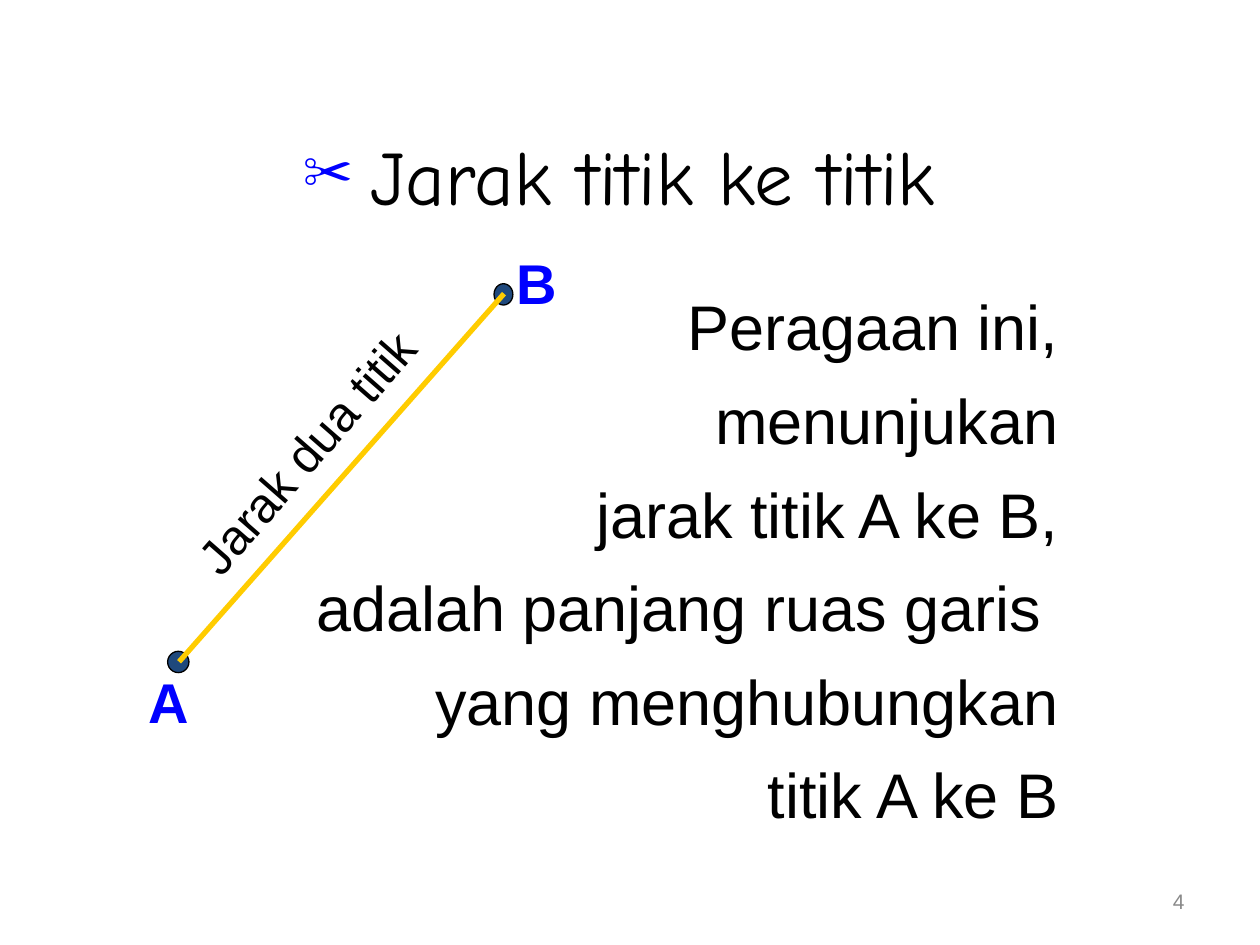
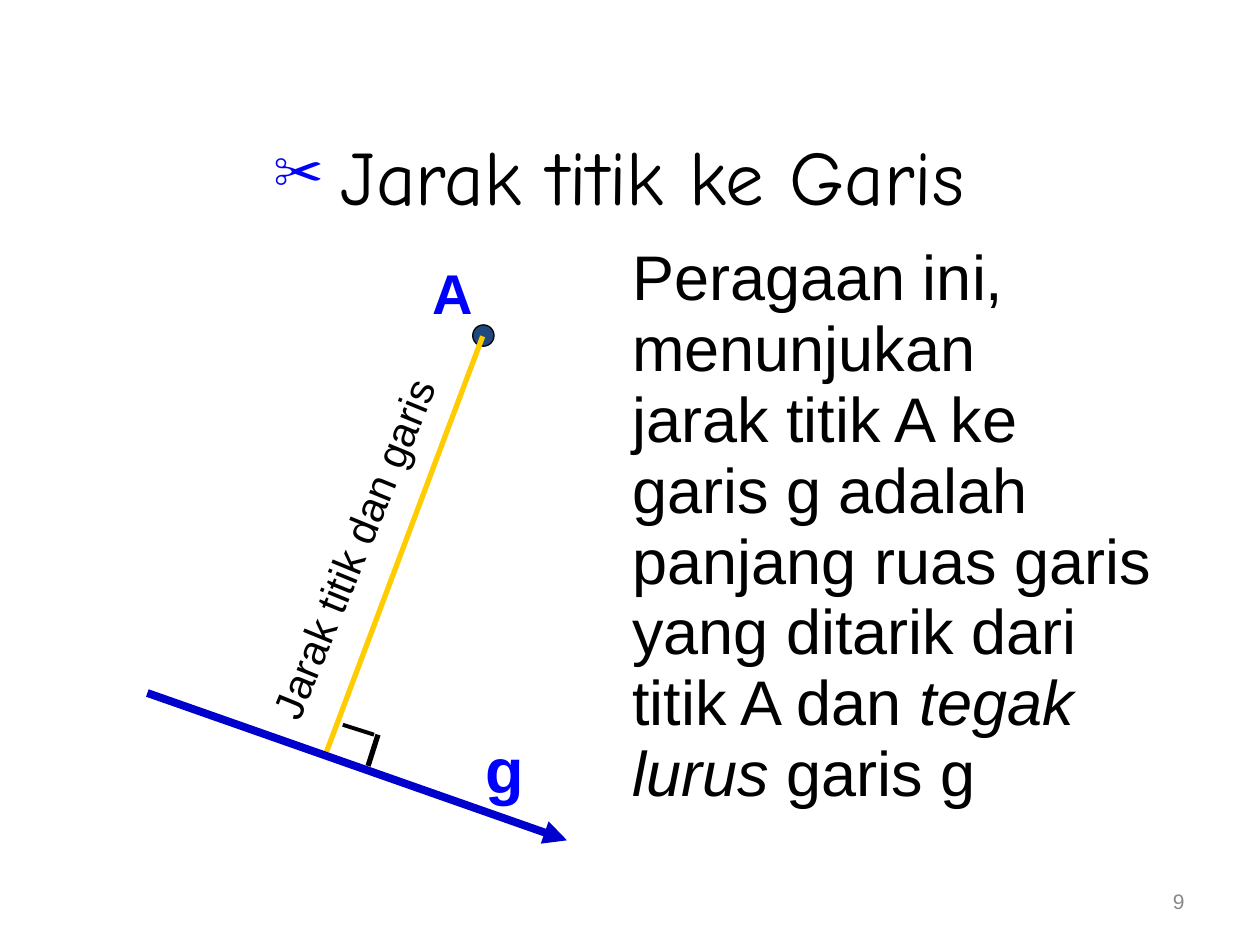
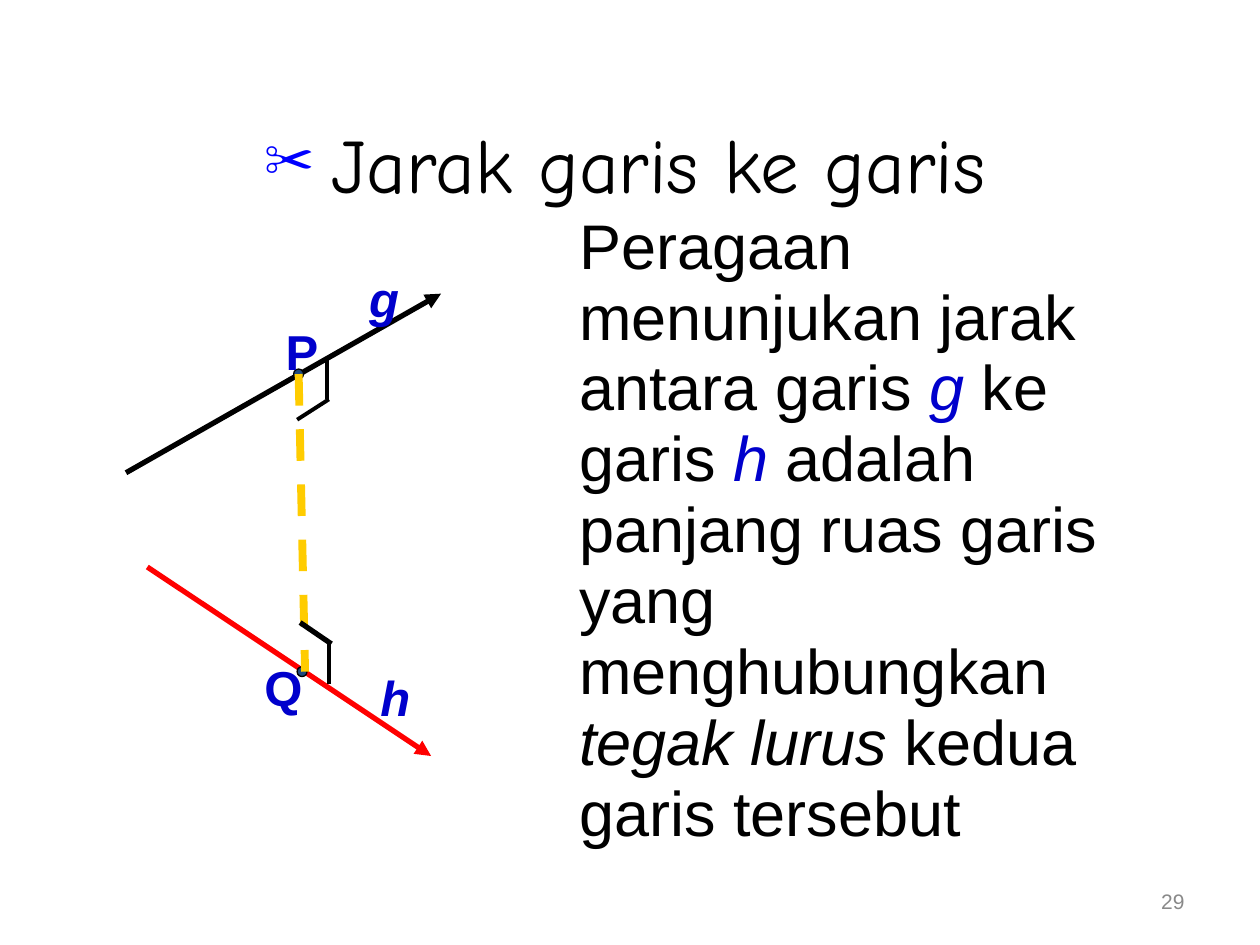
from lxml import etree
from pptx import Presentation
from pptx import util as u
from pptx.dml.color import RGBColor
from pptx.enum import dml, shapes, text
from pptx.oxml.ns import qn

COLORS = {
    "ink": "000000", "label": "0000FF", "navy": "0000CC", "distance": "FFCC00",
    "red": "FF0000", "point": "1F497D", "page": "898989",
}
LEFT, CENTER, RIGHT = text.PP_ALIGN.LEFT, text.PP_ALIGN.CENTER, text.PP_ALIGN.RIGHT


def write(slide, paragraphs, at, size=36, color="ink", font="Arial", bold=False,
          italic=False, align=LEFT, anchor=text.MSO_ANCHOR.TOP, spacing=1.0,
          before=0, rotation=0, bullet=None):
    """Each paragraph is a list of runs: (words, format that differs)."""
    box = slide.shapes.add_textbox(*map(u.Cm, at))
    box.rotation = rotation
    frame = box.text_frame
    frame.word_wrap = True
    frame.vertical_anchor = anchor
    for number, runs in enumerate(paragraphs):
        paragraph = frame.add_paragraph() if number else frame.paragraphs[0]
        if bullet:
            props = paragraph._p.get_or_add_pPr()
            props.set("marL", "0")
            props.set("indent", "0")
            tint = etree.SubElement(props, qn("a:buClr"))
            etree.SubElement(tint, qn("a:srgbClr"), val=COLORS["label"])
            etree.SubElement(props, qn("a:buSzPct"), val="80000")
            etree.SubElement(props, qn("a:buFont"), typeface="Arial")
            etree.SubElement(props, qn("a:buChar"), char=bullet)
        paragraph.alignment = align
        paragraph.line_spacing = spacing
        if number:
            paragraph.space_before = u.Pt(before)
        for words, style in runs:
            run = paragraph.add_run()
            run.text = words
            run.font.name = style.get("font", font)
            run.font.size = u.Pt(style.get("size", size))
            run.font.bold = bold
            run.font.italic = style.get("italic", italic)
            run.font.color.rgb = RGBColor.from_string(COLORS[style.get("color", color)])


def draw_line(slide, x1, y1, x2, y2, color, width, arrow=False, dashed=False):
    line = slide.shapes.add_connector(
        shapes.MSO_CONNECTOR.STRAIGHT, *map(u.Cm, (x1, y1, x2, y2)))
    line.line.color.rgb = RGBColor.from_string(COLORS[color])
    line.line.width = u.Pt(width)
    if dashed:
        line.line.dash_style = dml.MSO_LINE.DASH
    props = line._element.spPr
    if arrow:
        etree.SubElement(props.find(qn("a:ln")), qn("a:tailEnd"), type="triangle")
    etree.SubElement(props, qn("a:effectLst"))


# Run formats and label styles
plain, slanted = {}, {"italic": True}
line_name = {"italic": True, "color": "navy"}
big = {"size": 32, "color": "label", "bold": True}
small = {"size": 28, "color": "navy", "bold": True}
small_slanted = {**small, "italic": True}

# Content: lines are (x1, y1, x2, y2, colour, width, options), all lengths in cm
topics = [
    {
        "title": "Jarak titik ke titik", "title_at": (3.38, 2.97, 18.21, 1.57), "page": "4",
        "body": [[(words, plain)] for words in (
            "Peragaan ini,", "menunjukan", "jarak titik A ke B,",
            "adalah panjang ruas garis ", "yang menghubungkan", "titik A ke B")],
        "body_at": (3.38, 5.68, 18.21, 10.6),
        "body_style": {"align": RIGHT},
        "base_lines": [],
        "points": [(3.38, 13.13, 0.43, 0.43), (9.96, 5.72, 0.38, 0.43)],
        "labels": [
            ("A", (2.74, 13.34, 1.27, 1.63), big),
            ("B", (10.16, 4.88, 1.27, 1.63), big),
            ("Jarak dua titik", (2.77, 8.15, 7.21, 1.45), {"size": 28, "rotation": 311.2}),
        ],
        "top_lines": [(3.61, 13.34, 10.16, 5.92, "distance", 3, {})],
    },
    {
        "title": "Jarak titik ke Garis", "title_at": (3.38, 2.97, 18.21, 1.57), "page": "9",
        "body": [[(words, plain)] for words in (
            "Peragaan ini,", "menunjukan", "jarak titik A ke", "garis g adalah",
            "panjang ruas garis", "yang ditarik dari")] + [
            [("titik A dan ", plain), ("tegak", slanted)],
            [("lurus", slanted), (" garis g", plain)]],
        "body_at": (12.5, 5.08, 11, 11.02),
        "body_style": {"spacing": 0.7},
        "base_lines": [],
        "points": [(9.53, 6.55, 0.43, 0.43)],
        "labels": [
            ("A", (8.46, 5.08, 1.27, 1.63), big),
            ("g", (9.53, 14.61, 1.27, 1.78), {**big, "size": 36}),
            ("Jarak titik dan garis", (3.2, 10.41, 7.82, 1.27), {"size": 24, "rotation": 292.3}),
        ],
        "top_lines": [
            (6.55, 15.24, 9.73, 6.78, "distance", 3, {}),
            (2.97, 13.97, 11.43, 16.94, "navy", 4.5, {"arrow": True}),
            (6.91, 14.61, 7.54, 14.81, "ink", 2.25, {}),
            (7.62, 14.81, 7.42, 15.44, "ink", 3, {}),
        ],
    },
    {
        "title": "Jarak garis ke garis", "title_at": (3.61, 2.74, 17.98, 1.57), "page": "29",
        "body": [
            [("Peragaan", plain)],
            [("menunjukan jarak", plain)],
            [("antara garis ", plain), ("g", line_name), (" ke", plain)],
            [("garis ", plain), ("h", line_name), (" adalah", plain)],
            [("panjang ruas garis", plain)],
            [("yang", plain)],
            [("menghubungkan", plain)],
            [("tegak lurus", slanted), (" kedua", plain)],
            [("garis tersebut", plain)],
        ],
        "body_at": (11.43, 4.45, 11, 12.42),
        "body_style": {"spacing": 0.7},
        "base_lines": [
            (2.54, 9.53, 8.89, 5.92, "ink", 3, {"arrow": True}),
            (2.97, 11.43, 8.69, 15.24, "red", 3, {"arrow": True}),
        ],
        "points": [(5.92, 7.44, 0.2, 0.2), (5.99, 13.44, 0.2, 0.2)],
        "labels": [
            ("P", (5.51, 6.35, 1.19, 1.45), small),
            ("Q", (5.08, 13.13, 1.19, 1.45), small),
            ("g", (7.19, 5.28, 1.19, 1.45), small_slanted),
            ("h", (7.42, 13.34, 1.19, 1.45), small_slanted),
        ],
        "top_lines": [
            (6.02, 7.54, 6.15, 13.54, "distance", 4.5, {"dashed": True}),
            (6.05, 12.55, 6.68, 12.98, "ink", 3, {}),
            (6.63, 12.95, 6.63, 13.79, "ink", 2.25, {}),
            (6.6, 7.19, 6.6, 8.05, "ink", 2.25, {}),
            (5.99, 8.46, 6.63, 8.05, "ink", 2.25, {}),
        ],
    },
]

deck = Presentation()
deck.slide_width, deck.slide_height = u.Cm(25.4), u.Cm(19.05)

for topic in topics:
    slide = deck.slides.add_slide(deck.slide_layouts[6])

    # Page number, title and explanation
    write(slide, [[(topic["page"], plain)]], (18.21, 17.65, 5.92, 1.02), size=12,
          color="page", align=RIGHT, anchor=text.MSO_ANCHOR.MIDDLE)
    write(slide, [[(" ", plain), (topic["title"], {"size": 44, "font": "Comic Neue"})]],
          topic["title_at"], align=CENTER, spacing=0.7, bullet="✂")
    write(slide, topic["body"], topic["body_at"], before=10.25, **topic["body_style"])

    # Lines that run behind the points
    for *ends, color, width, options in topic["base_lines"]:
        draw_line(slide, *ends, color, width, **options)

    # Points
    for place in topic["points"]:
        point = slide.shapes.add_shape(shapes.MSO_SHAPE.OVAL, *map(u.Cm, place))
        point.shadow.inherit = False
        point.fill.solid()
        point.fill.fore_color.rgb = RGBColor.from_string(COLORS["point"])
        point.line.color.rgb = RGBColor.from_string(COLORS["ink"])
        point.line.width = u.Pt(0.75)

    # Names of points and lines
    for words, place, style in topic["labels"]:
        write(slide, [[(words, plain)]], place, **style)

    # Distances and right-angle marks
    for *ends, color, width, options in topic["top_lines"]:
        draw_line(slide, *ends, color, width, **options)

deck.save("out.pptx")
